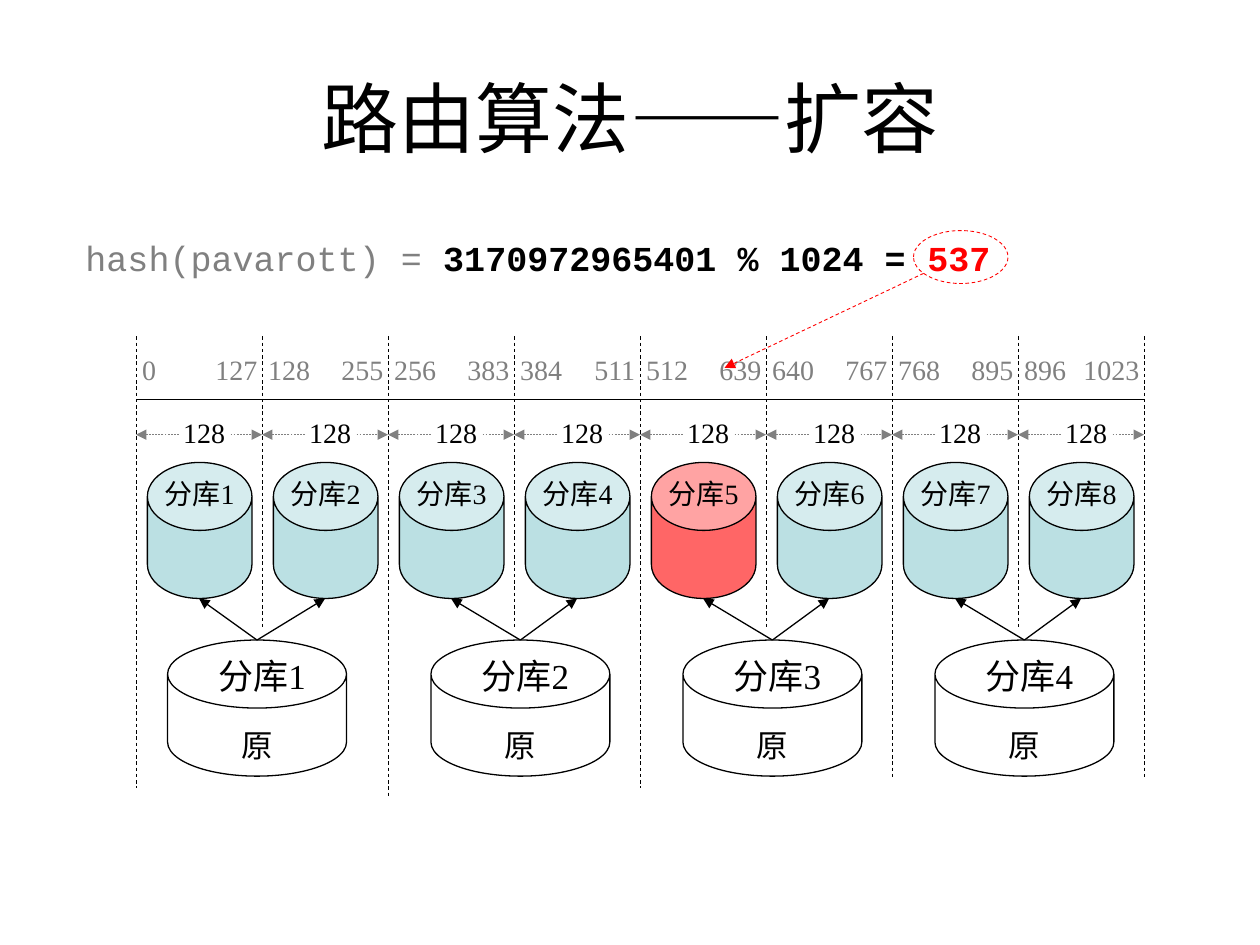
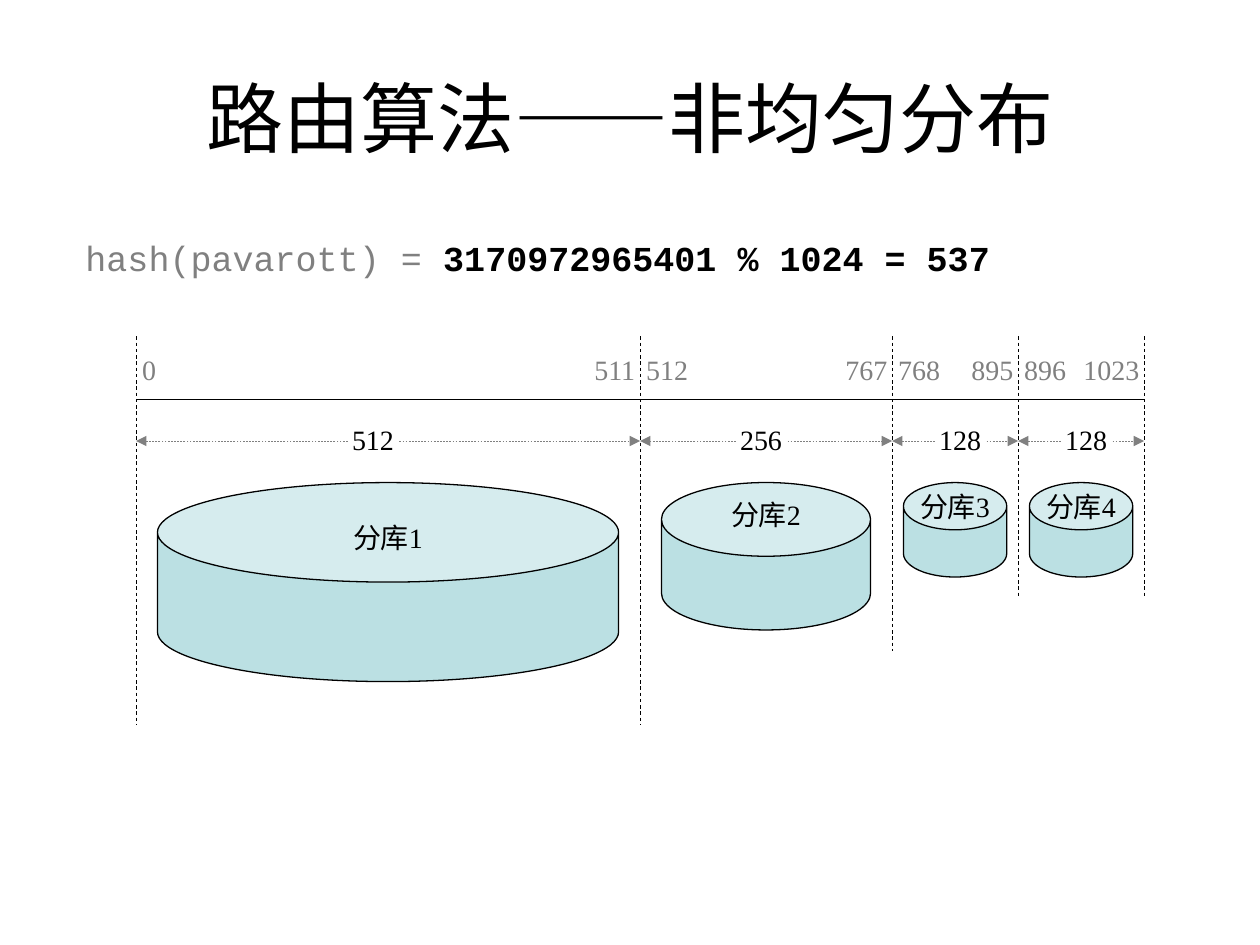
"""Build two slides on hash routing: scaling out and uneven shards."""
from dataclasses import dataclass
from itertools import accumulate
from typing import Optional, Sequence

from lxml import etree
from pptx import Presentation
from pptx import util as u
from pptx.dml.color import RGBColor
from pptx.enum import dml, shapes, text
from pptx.oxml.ns import qn
from pptx.slide import Slide

HUES = {"ink": "000000", "gray": "808080", "red": "FF0000", "aqua": "BBE0E3"}
SERIF, SANS, MONO, HAN = "Times New Roman", "Arial", "Courier New", "Noto Sans CJK SC"
LEFT, TOP, AXIS, UNIT = 1.08, 2.67, 3.17, 128
MID = {128: 0.54, 256: 0.96, 512: 1.88}
ALIGN = text.PP_ALIGN


@dataclass
class Run:
    words: str
    hue: str = "ink"
    bold: bool = False
    face: Optional[str] = None


@dataclass
class Box:
    x: float
    y: float
    w: float
    h: float


@dataclass
class Can:
    box: Box
    name: str
    drop: float
    cap: float = 0.5
    fill: Optional[str] = "aqua"
    alpha: int = 100
    size: int = 16
    shift: float = 0
    span: float = 0.83


def color(hue: str) -> RGBColor:
    return RGBColor.from_string(HUES[hue])


def place(box: Box) -> list[u.Length]:
    return [u.Inches(v) for v in (box.x, box.y, box.w, box.h)]


def write(slide: Slide, box: Box, runs: Sequence[Run], size: int, face: str = SERIF,
          align: text.PP_ALIGN = ALIGN.CENTER) -> None:
    frame = slide.shapes.add_textbox(*place(box)).text_frame
    frame.word_wrap = True
    frame.vertical_anchor = text.MSO_ANCHOR.MIDDLE
    para = frame.paragraphs[0]
    para.alignment = align
    para.font.size, para.font.name = u.Pt(size), face
    if len(runs) == 1:
        para.font.color.rgb = color(runs[0].hue)
    for item in runs:
        run = para.add_run()
        run.text = item.words
        if len(runs) > 1:
            run.font.color.rgb = color(item.hue)
        if item.bold:
            run.font.bold = True
        if item.face:
            run.font.name = item.face


def line(slide: Slide, x: float, y: float, x2: float, y2: float, hue: str = "ink",
         width: float = 0.75, dash: bool = False, arrow: bool = False) -> None:
    link = slide.shapes.add_connector(
        shapes.MSO_CONNECTOR.STRAIGHT, *[u.Inches(v) for v in (x, y, x2, y2)])
    link.line.color.rgb = color(hue)
    link.line.width = u.Pt(width)
    if dash:
        link.line.dash_style = dml.MSO_LINE.DASH
    if arrow:
        etree.SubElement(link.line._get_or_add_ln(), qn("a:tailEnd"), type="triangle")
    etree.SubElement(link._element.spPr, qn("a:effectLst"))


def solid(slide: Slide, kind: shapes.MSO_SHAPE, box: Box, fill: Optional[str],
          edge: str = "ink", width: float = 0.75):
    shape = slide.shapes.add_shape(kind, *place(box))
    shape.shadow.inherit = False
    if fill:
        shape.fill.solid()
        shape.fill.fore_color.rgb = color(fill)
    else:
        shape.fill.background()
    shape.line.color.rgb = color(edge)
    shape.line.width = u.Pt(width)
    return shape


def store(slide: Slide, can: Can):
    shape = solid(slide, shapes.MSO_SHAPE.CAN, can.box, can.fill)
    shape.adjustments[0] = can.cap
    if can.alpha < 100:
        tone = shape._element.spPr.find(qn("a:solidFill"))[0]
        etree.SubElement(tone, qn("a:alpha"), val=str(can.alpha * 1000))
    mid = can.box.x + can.box.w / 2 + can.shift
    spot = Box(mid - can.span / 2, can.box.y + can.drop, can.span,
               0.37 if can.size == 16 else 0.43)
    write(slide, spot, [Run(can.name)], can.size)
    return shape


def head(slide: Slide, topic: str, tail: Sequence[Run]) -> None:
    title = [Run("路由算法"), Run("——", face=HAN), Run(topic)]
    write(slide, Box(0.5, 0.3, 9, 1.25), title, 44, SANS)
    write(slide, Box(0.58, 1.83, 7.75, 0.43), [Run("hash(pavarott) = ", "gray"), *tail],
          20, MONO, ALIGN.LEFT)


def scale(slide: Slide, sizes: Sequence[int], feet: Sequence[float],
          y: float) -> list[float]:
    line(slide, LEFT, AXIS, LEFT + 8, AXIS)
    marks = list(accumulate(sizes, initial=0))
    edges = [LEFT + mark / UNIT for mark in marks]
    for size, low, x, end in zip(sizes, marks, edges, edges[1:]):
        for num, left, align in ((low, x - 0.05, ALIGN.LEFT),
                                 (low + size - 1, end - 0.64, ALIGN.RIGHT)):
            write(slide, Box(left, 2.75, 0.7, 0.37), [Run(str(num), "gray")], 16, align=align)
        mid = x + MID[size]
        write(slide, Box(mid - 0.29, y - 0.2, 0.58, 0.37), [Run(str(size))], 16)
        for side, goal in ((-0.2, x), (0.21, end)):
            line(slide, mid + side, y, goal, y, "gray", 0.25, True, True)
    for x, foot in zip(edges, feet):
        line(slide, x, TOP, x, foot, width=0.5, dash=True)
    return edges


def grow(slide: Slide) -> None:
    head(slide, "扩容", [Run("3170972965401 % 1024 = ", bold=True), Run("537", "red", True)])
    edges = scale(slide, [128] * 8, (6.25, 5, 6.33, 5, 6.25, 5, 6.17, 5, 6.17), 3.45)
    for i, x in enumerate(edges[:-1], 1):
        hot = i == 5
        store(slide, Can(Box(x + 0.09, 3.67, 0.83, 1.08), f"分库{i}", 0.06, 0.65,
                         "red" if hot else "aqua", 60 if hot else 100))
    for i in range(4):
        x = 1.42 + 2 * i if i else 1.33
        old = store(slide, Can(Box(x, 5.08, 1.42, 1.08), f"分库{i + 1}", 0.07,
                               fill=None, size=20, shift=0.04, span=1.83))
        frame = old.text_frame
        frame.word_wrap = False
        frame.vertical_anchor = text.MSO_ANCHOR.TOP
        frame.margin_top, frame.margin_bottom = u.Inches(0.14), 0
        para = frame.paragraphs[0]
        para.text = "原"
        para.alignment = ALIGN.CENTER
        para.font.size, para.font.name = u.Pt(18), SANS
        para.font.color.rgb = color("ink")
        for goal in (1.58, 2.58):
            line(slide, x + 0.71, 5.08, goal + 2 * i, 4.75, arrow=True)
    ring = solid(slide, shapes.MSO_SHAPE.OVAL, Box(7.25, 1.83, 0.75, 0.42), None, "red", 0.5)
    ring.line.dash_style = dml.MSO_LINE.DASH
    line(slide, 7.33, 2.17, 5.75, 2.92, "red", 0.5, True, True)


def skew(slide: Slide) -> None:
    head(slide, "非均匀分布", [Run("3170972965401 % 1024 = 537", bold=True)])
    edges = scale(slide, (512, 256, 128, 128), (5.75, 5.75, 5.17, 4.75, 4.75), 3.5)
    forms = ((0.17, 1.58, 0.25), (0.17, 1.17, 0.07), (0.09, 0.75, 0), (0.09, 0.75, 0))
    for i, (pad, high, drop) in enumerate(forms):
        wide = edges[i + 1] - edges[i] - 2 * pad
        store(slide, Can(Box(edges[i] + pad, 3.83, wide, high), f"分库{i + 1}", drop))


def main() -> None:
    deck = Presentation()
    deck.slide_width, deck.slide_height = u.Inches(10), u.Inches(7.5)
    for draw in (grow, skew):
        draw(deck.slides.add_slide(deck.slide_layouts[6]))
    deck.save("out.pptx")


if __name__ == "__main__":
    main()
